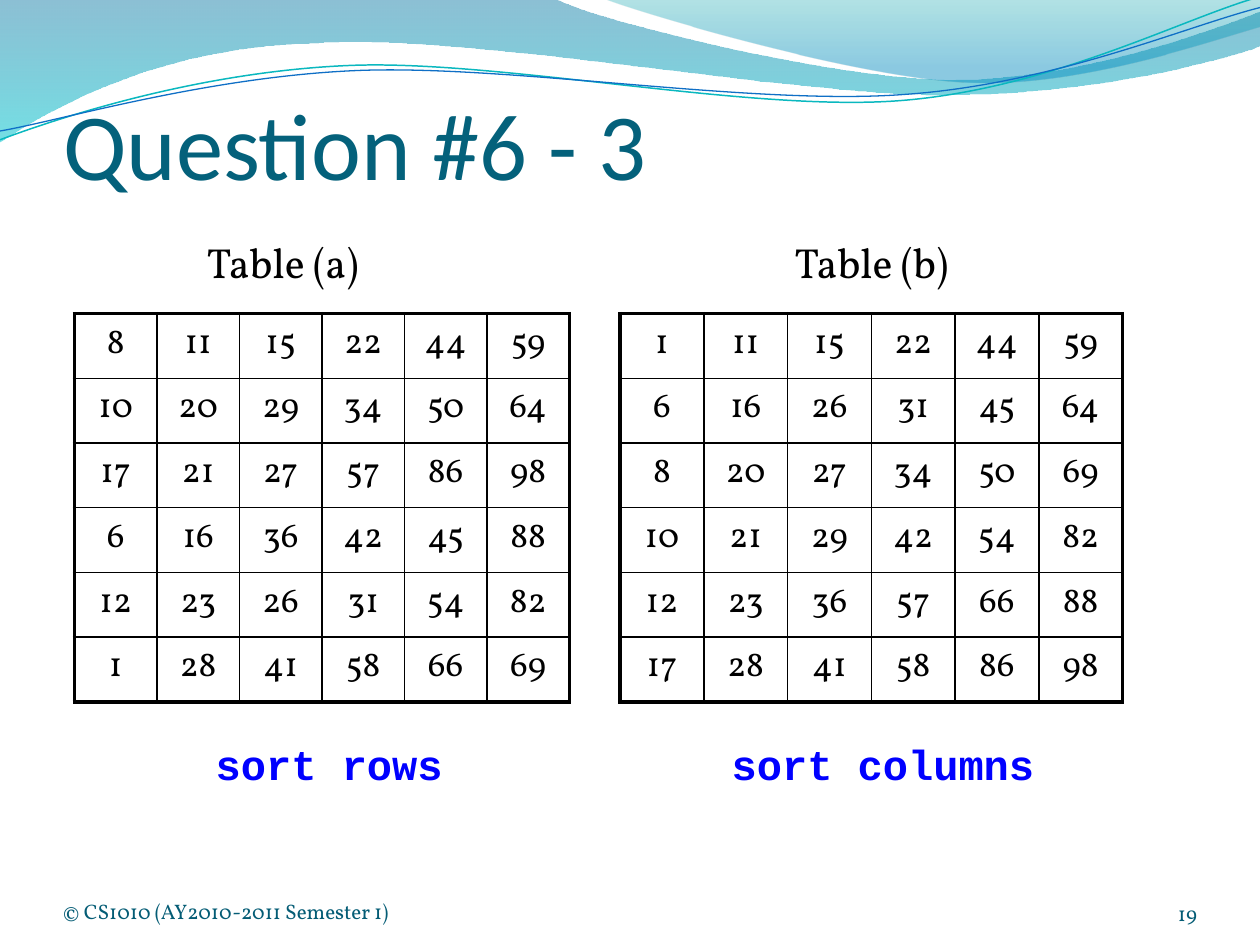
import math

import pptx
import pptx.util
import pptx.dml.color
import pptx.enum.text
import pptx.oxml.ns
from lxml import etree

Cm, Pt = pptx.util.Cm, pptx.util.Pt
RGB = pptx.dml.color.RGBColor.from_string
ALIGN, ANCHOR = pptx.enum.text.PP_ALIGN, pptx.enum.text.MSO_ANCHOR
qn = pptx.oxml.ns.qn

# Content
COLORS = {"title": "04617B", "footer": "045C75", "text": "000000", "action": "0000FF",
          "teal": "0AB8BF", "blue": "0F6FC6"}
TITLE = "Question #6 - 3"
FOOTER = "© CS1010 (AY2010-2011 Semester 1)"
NUMBER = "19"
ROWS_SORTED = [
    [8, 11, 15, 22, 44, 59],
    [10, 20, 29, 34, 50, 64],
    [17, 21, 27, 57, 86, 98],
    [6, 16, 36, 42, 45, 88],
    [12, 23, 26, 31, 54, 82],
    [1, 28, 41, 58, 66, 69],
]
COLUMNS_SORTED = list(zip(*map(sorted, zip(*ROWS_SORTED))))
# caption, caption left, values, table left, table width, action, action left, action width
PANELS = [
    ("Table (a)", 3.39, ROWS_SORTED, 1.5, 9.98, "sort rows", 4.1, 5.21),
    ("Table (b)", 15.24, COLUMNS_SORTED, 12.5, 10.13, "sort columns", 14.5, 6.6),
]
TABLE_TOP, TABLE_HEIGHT = 6.32, 7.83

# Waves in inches: a pair is a line end, three pairs are a curve (two controls, end)
BANDS = [
    ([(0, 0), (4.4, -0.01), (4.76, 0.17, 6.64, 0.63, 7.58, 0.63),
      (8.53, 0.63, 9.58, 0.26, 10, 0.09), (10.01, 0.36),
      (9.83, 0.44, 8.7, 0.76, 7.46, 0.75), (6.22, 0.75, 3.82, 0.28, 2.57, 0.34),
      (1.29, 0.36, 0.46, 0.83, -0.01, 1.13), (0, 0)],
     [(0, "0074A1", 45), (1, "00C6CF", 55)]),
    ([(4.79, -0.01), (5.09, 0.11, 6.82, 0.62, 7.69, 0.65),
      (8.56, 0.69, 9.61, 0.32, 10, 0.21), (10, 0), (4.79, -0.01)],
     [(0, "00A1A9", 30), (0.8, "008BBF", 45)]),
]
STROKES = [
    ([(0, 1.11), (0.48, 0.93, 1.58, 0.57, 2.77, 0.52), (3.95, 0.47, 5.93, 0.89, 7.13, 0.8),
      (8.33, 0.71, 9.38, 0.15, 9.98, -0.02)], "teal", 0.85),
    ([(0, 1.04), (0.47, 0.96, 1.64, 0.61, 2.83, 0.56), (4.03, 0.51, 5.97, 0.84, 7.17, 0.75),
      (8.36, 0.67, 9.41, 0.21, 10, 0.06)], "blue", 0.75),
]
STROKE_TILT = -2.7


def to_points(seg, tilt):
    """Pairs of a segment in EMU, with the tilt taken out about the wave centre."""
    a, cx, cy = math.radians(-tilt), 4.99, 0.56
    points = []
    for x, y in zip(seg[::2], seg[1::2]):
        dx, dy = x - cx, y - cy
        points.append((Cm(2.54 * (cx + dx * math.cos(a) - dy * math.sin(a))),
                       Cm(2.54 * (cy + dx * math.sin(a) + dy * math.cos(a)))))
    return points


def add_wave(outline, close, tilt=0):
    segments = [to_points(seg, tilt) for seg in outline]
    builder = s.shapes.build_freeform(*segments[0][0], scale=1.0)
    builder.add_line_segments([seg[-1] for seg in segments[1:]], close=close)
    sp = builder.convert_to_shape()
    # Bend the straight segments that have control points
    for line, seg in zip(list(sp.element.iter(qn("a:lnTo"))), segments[1:]):
        if len(seg) == 3:
            curve = etree.Element(qn("a:cubicBezTo"))
            for x, y in seg:
                etree.SubElement(curve, qn("a:pt"), x=str(x - sp.left), y=str(y - sp.top))
            line.getparent().replace(line, curve)
    sp.rotation = tilt % 360
    sp.shadow.inherit = False
    return sp


def add_run(p, text, size, color, font="Vollkorn", bold=None):
    r = p.add_run()
    r.text = text
    r.font.size, r.font.name, r.font.bold = Pt(size), font, bold
    r.font.color.rgb = RGB(COLORS[color])


def add_text(box, text, size, color, font="Vollkorn", bold=None, flush=False, align=None):
    sp = s.shapes.add_textbox(*map(Cm, box))
    tf = sp.text_frame
    tf.word_wrap = True
    if flush:
        tf.margin_left = tf.margin_right = tf.margin_top = tf.margin_bottom = 0
        tf.vertical_anchor = ANCHOR.BOTTOM
    p = tf.paragraphs[0]
    p.alignment = align
    add_run(p, text, size, color, font, bold)
    return p


def set_border(cell, side, width):
    ln = etree.SubElement(cell.get_or_add_tcPr(), qn("a:ln" + side), w=str(Pt(width)))
    fill = etree.SubElement(ln, qn("a:solidFill"))
    etree.SubElement(fill, qn("a:srgbClr"), val=COLORS["text"])


def add_grid(values, left, width):
    n_rows, n_cols = len(values), len(values[0])
    table = s.shapes.add_table(n_rows, n_cols, Cm(left), Cm(TABLE_TOP),
                               Cm(width), Cm(TABLE_HEIGHT)).table
    table.first_row = table.horz_banding = False
    for i, row in enumerate(values):
        for j, value in enumerate(row):
            cell = table.cell(i, j)
            p = cell.text_frame.paragraphs[0]
            p.alignment, p.space_before = ALIGN.CENTER, Pt(4)
            add_run(p, str(value), 20, "text")
            outer = {"L": j == 0, "R": j == n_cols - 1, "T": i == 0, "B": i == n_rows - 1}
            for side, thick in outer.items():
                set_border(cell._tc, side, 2.25 if thick else 1)
            cell.fill.background()


prs = pptx.Presentation()
prs.slide_width, prs.slide_height = Cm(25.4), Cm(19.05)
s = prs.slides.add_slide(prs.slide_layouts[5])

# Waves
for outline, stops in BANDS:
    sp = add_wave(outline, True)
    sp.line.fill.background()
    sp.fill.gradient()
    sp.fill.gradient_angle = 270
    for stop, (pos, color, _) in zip(sp.fill.gradient_stops, stops):
        stop.position, stop.color.rgb = pos, RGB(color)
    for clr, (_, _, opacity) in zip(sp.element.spPr.iter(qn("a:srgbClr")), stops):
        etree.SubElement(clr, qn("a:alpha"), val=str(opacity * 1000))
for outline, color, width in STROKES:
    sp = add_wave(outline, False, STROKE_TILT)
    sp.fill.background()
    sp.line.color.rgb, sp.line.width = RGB(COLORS[color]), Pt(width)

# Title, in front of the waves
title = s.shapes.title
title.element.getparent().append(title.element)
title.left, title.top, title.width, title.height = map(Cm, (1.27, 1.48, 22.86, 2.54))
tf = title.text_frame
tf.margin_left = tf.margin_right = tf.margin_bottom = 0
tf.margin_top = Cm(0.13)
tf.vertical_anchor = ANCHOR.BOTTOM
tf.auto_size = pptx.enum.text.MSO_AUTO_SIZE.NONE
tf.paragraphs[0].alignment = ALIGN.LEFT
add_run(tf.paragraphs[0], TITLE, 54, "title", "Calibri")

# Footer
add_text((22.02, 17.65, 2.11, 1.02), NUMBER, 12, "footer", flush=True, align=ALIGN.RIGHT)
add_text((1.27, 17.35, 8.46, 1.27), FOOTER, 12, "footer", flush=True)

# Tables with captions and actions
for caption, cap_left, values, left, width, action, act_left, act_width in PANELS:
    p = add_text((cap_left, 4.65, 5.51, 1.27), caption, 24, "text")
    p.space_before, p.space_after = Pt(4.8), Pt(7.2)
    pPr = p._p.get_or_add_pPr()
    pPr.set("marL", str(Cm(1.8)))
    pPr.set("indent", str(Cm(-1.27)))
    add_grid(values, left, width)
    add_text((act_left, 14.76, act_width, 1.27), action, 24, "action", "Courier New", True)

prs.save("out.pptx")
